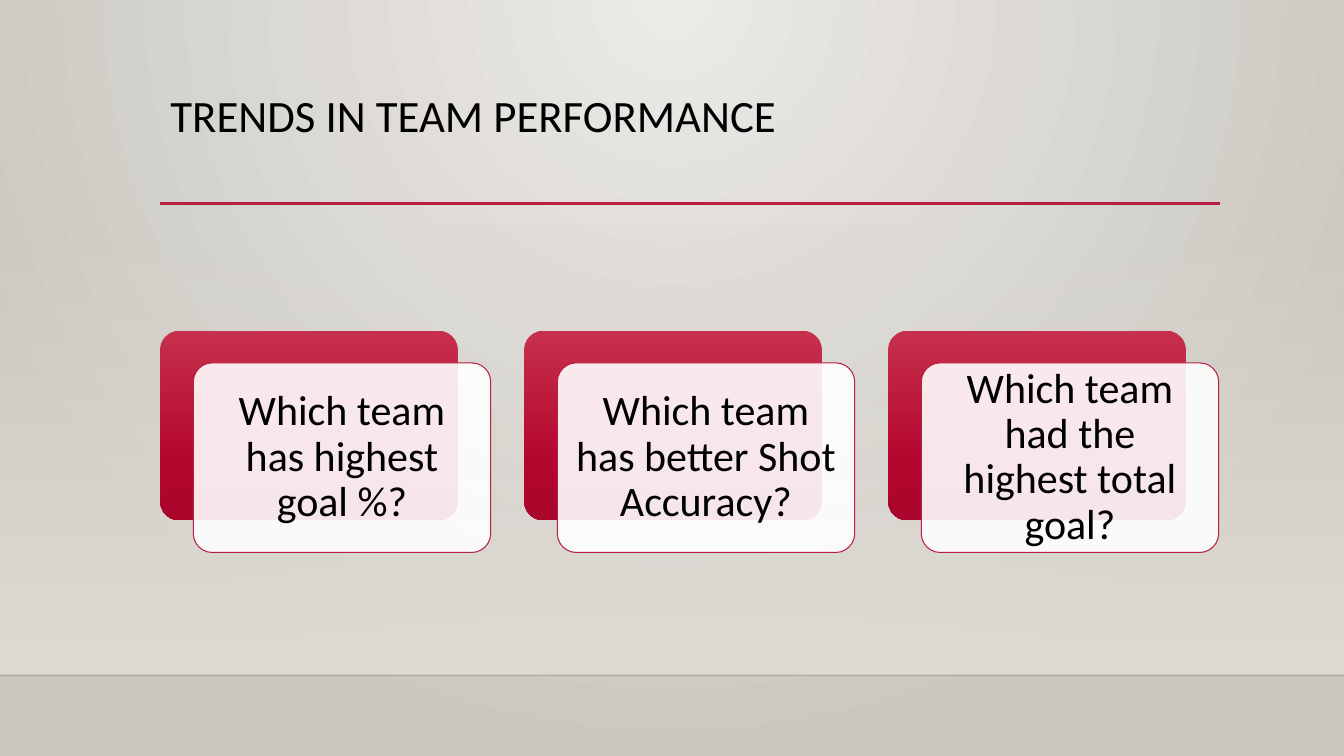
from lxml import etree
from pptx import Presentation
from pptx.dml.color import RGBColor
from pptx.enum.shapes import MSO_CONNECTOR as CONNECTOR, MSO_SHAPE as SHAPE
from pptx.enum.text import MSO_ANCHOR as ANCHOR, PP_ALIGN as ALIGN
from pptx.oxml.ns import qn
from pptx.util import Pt

WIDTH, HEIGHT = 960, 540
LEFT, RIGHT = 114.5, 871.2
FLOOR = 482.4
CARD_TOP, CARD_WIDTH, CARD_HEIGHT = 236.2, 212.4, 135.4
CARD_STEP = 260
SHIFT_X, SHIFT_Y = 23.6, 23
ACCENT = "B71E42"
QUESTIONS = [
    "Which team has highest goal %?",
    "Which team has better Shot Accuracy?",
    "Which team had the highest total goal?",
]


def color(value):
    return RGBColor.from_string(value)


def add_alpha(color_element, percent):
    etree.SubElement(color_element, qn("a:alpha"), val=str(percent * 1000))


def set_gradient(fill, owner, stops, radial=False):
    fill.gradient()
    gradient = next(owner.iter(qn("a:gradFill")))
    for child in list(gradient):
        gradient.remove(child)
    stop_list = etree.SubElement(gradient, qn("a:gsLst"))
    for position, value, alpha in stops:
        stop = etree.SubElement(stop_list, qn("a:gs"), pos=str(position * 1000))
        stop_color = etree.SubElement(stop, qn("a:srgbClr"), val=value)
        add_alpha(stop_color, alpha)
    if radial:
        circle = etree.SubElement(gradient, qn("a:path"), {"path": "circle"})
        etree.SubElement(circle, qn("a:fillToRect"),
                         l="43000", t="0", r="43000", b="100000")
    else:
        etree.SubElement(gradient, qn("a:lin"), ang="5400000", scaled="0")


def add_box(slide, kind, left, top, width, height):
    shape = slide.shapes.add_shape(kind, Pt(left), Pt(top), Pt(width), Pt(height))
    shape.shadow.inherit = False
    shape.line.fill.background()
    if kind == SHAPE.ROUNDED_RECTANGLE:
        shape.adjustments[0] = 0.1
    return shape


def add_rule(slide, left, right, top, value, weight, alpha=100):
    rule = slide.shapes.add_connector(
        CONNECTOR.STRAIGHT, Pt(left), Pt(top), Pt(right), Pt(top))
    rule.line.color.rgb = color(value)
    rule.line.width = Pt(weight)
    properties = rule._element.spPr
    add_alpha(next(properties.iter(qn("a:srgbClr"))), alpha)
    etree.SubElement(properties, qn("a:effectLst"))


def write_text(shape, text, size, align, anchor):
    frame = shape.text_frame
    frame.word_wrap = True
    frame.vertical_anchor = anchor
    paragraph = frame.paragraphs[0]
    paragraph.alignment = align
    paragraph.line_spacing = 0.9
    run = paragraph.add_run()
    run.text = text
    run.font.name = "Calibri"
    run.font.size = Pt(size)
    run.font.color.rgb = color("000000")


def add_title(slide, text):
    title = slide.shapes.title
    title.left, title.top = Pt(LEFT), Pt(63.4)
    title.width, title.height = Pt(756), Pt(82.8)
    write_text(title, text, 32, ALIGN.LEFT, ANCHOR.TOP)


def add_question_card(slide, left, question):
    back = add_box(slide, SHAPE.ROUNDED_RECTANGLE,
                   left, CARD_TOP, CARD_WIDTH, CARD_HEIGHT)
    set_gradient(back.fill, back._element,
                 [(0, "C7304C", 100), (69, "B3062F", 100), (100, "AA062C", 100)])
    front = add_box(slide, SHAPE.ROUNDED_RECTANGLE, left + SHIFT_X,
                    CARD_TOP + SHIFT_Y, CARD_WIDTH, CARD_HEIGHT)
    front.fill.solid()
    front.fill.fore_color.rgb = color("FFFFFF")
    add_alpha(next(front._element.spPr.iter(qn("a:srgbClr"))), 90)
    front.line.color.rgb = color(ACCENT)
    front.line.width = Pt(0.75)
    frame = front.text_frame
    frame.margin_left = frame.margin_right = Pt(9)
    frame.margin_top = frame.margin_bottom = Pt(9)
    write_text(front, question, 30, ALIGN.CENTER, ANCHOR.MIDDLE)


def add_backdrop(slide):
    set_gradient(slide.background.fill, slide.element,
                 [(0, "ECEAE7", 100), (100, "CAC7C1", 100)], radial=True)
    wall = add_box(slide, SHAPE.RECTANGLE, 0, 159.1, WIDTH, FLOOR - 159.1)
    set_gradient(wall.fill, wall._element,
                 [(0, "DFDBD5", 0), (100, "DFDBD5", 100)])
    add_rule(slide, 0, WIDTH, FLOOR, "000001", 1, alpha=20)


def main():
    presentation = Presentation()
    presentation.slide_width, presentation.slide_height = Pt(WIDTH), Pt(HEIGHT)
    slide = presentation.slides.add_slide(presentation.slide_layouts[5])
    add_backdrop(slide)
    add_rule(slide, LEFT, RIGHT, 145.4, ACCENT, 2.5)
    add_title(slide, "TRENDS IN TEAM PERFORMANCE")
    for index, question in enumerate(QUESTIONS):
        add_question_card(slide, LEFT + index * CARD_STEP, question)
    presentation.save("out.pptx")


if __name__ == "__main__":
    main()
